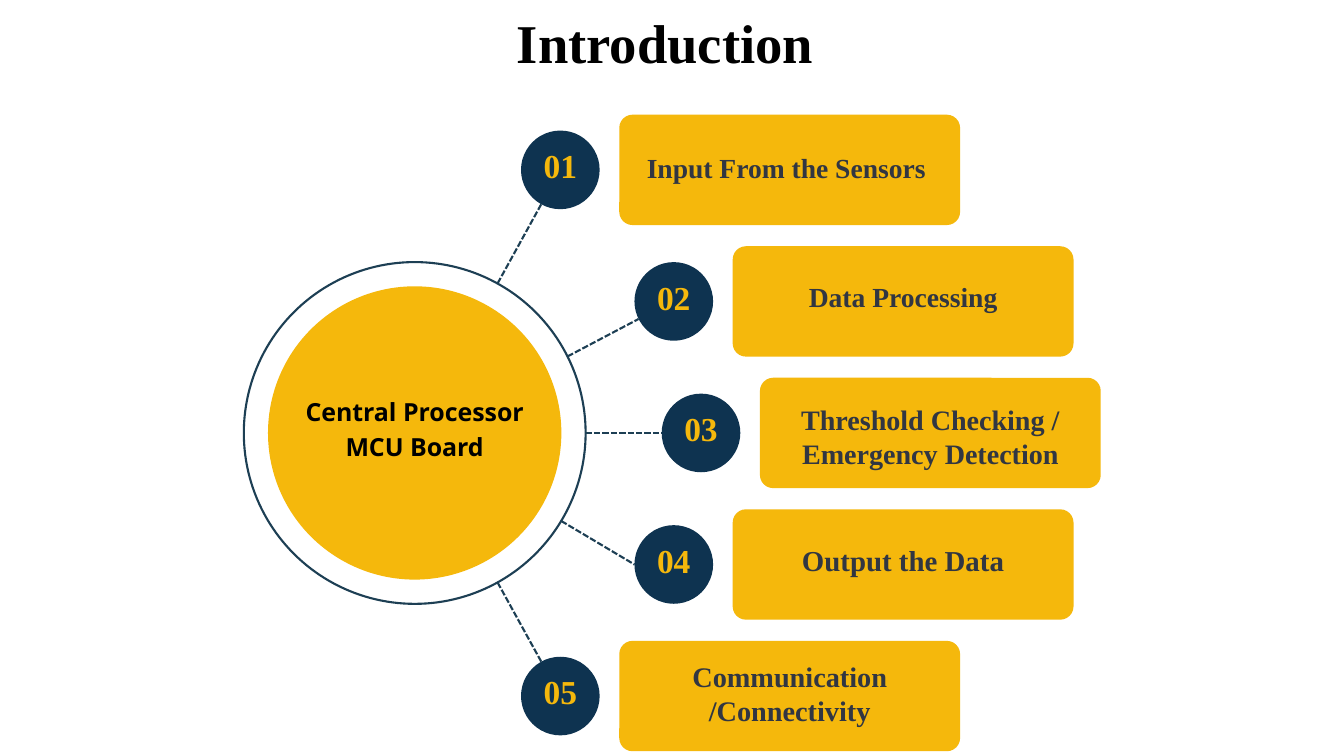
import math

import pptx
import pptx.dml.color
import pptx.enum.dml
import pptx.enum.shapes
import pptx.enum.text
import pptx.oxml
import pptx.util

RGBColor = pptx.dml.color.RGBColor
MSO_SHAPE = pptx.enum.shapes.MSO_SHAPE
YELLOW = RGBColor(0xF5, 0xB8, 0x0C)
NAVY = RGBColor(0x0E, 0x33, 0x50)
LINE_BLUE = RGBColor(0x1D, 0x3F, 0x54)
SLATE = RGBColor(0x31, 0x36, 0x42)
BLACK = RGBColor(0, 0, 0)
SERIF = "Times New Roman"

SLIDE_WIDTH = pptx.util.Inches(13.33)
SLIDE_HEIGHT = pptx.util.Inches(7.5)

# All lengths below are shares of the slide's height, in percent
HUB_X, HUB_Y = 54.84, 57.27
RING_RADIUS, DISC_RADIUS, BADGE_RADIUS = 22.6, 19.4, 5.2
FIRST_ROW, ROW_PITCH = HUB_Y - 2 * 17.4, 17.4
CARD_WIDTH, CARD_HEIGHT, CARD_OFFSET = 45.07, 14.6, 7.8

# Badge centre, link angle at hub and at badge, label, size, upward text shift
STEPS = [
    (74.1, -61, -61, "Input From the Sensors ", 19.7, 0.3),
    (89.1, -26.6, -26.6, "Data Processing", 19.7, 0.6),
    (92.7, 0, 0, "Threshold Checking / Emergency Detection", 20.1, -0.4),
    (89.1, 31, 0, "Output the Data", 20.6, 0.6),
    (74.1, 61, 61, "Communication\n/Connectivity", 20.2, 0.4),
]


def share(percent):
    return round(SLIDE_HEIGHT * percent / 100)


def write_text(shape, text, size, font, color, spacing, raised=0, wrap=True):
    text_frame = shape.text_frame
    text_frame.text = text
    text_frame.word_wrap = wrap
    text_frame.vertical_anchor = pptx.enum.text.MSO_ANCHOR.MIDDLE
    text_frame.margin_left = text_frame.margin_right = 0
    text_frame.margin_top = share(max(0, -2 * raised))
    text_frame.margin_bottom = share(max(0, 2 * raised))
    for paragraph in text_frame.paragraphs:
        paragraph.alignment = pptx.enum.text.PP_ALIGN.CENTER
        paragraph.line_spacing = spacing
        for run in paragraph.runs:
            run.font.name = font
            run.font.size = pptx.util.Pt(size)
            run.font.bold = True
            run.font.color.rgb = color


def add_block(slide, kind, center_x, center_y, width, height, fill=None):
    shape = slide.shapes.add_shape(
        kind, share(center_x - width / 2), share(center_y - height / 2),
        share(width), share(height))
    shape.shadow.inherit = False
    if fill is None:
        shape.fill.background()
        shape.line.color.rgb = LINE_BLUE
        shape.line.width = pptx.util.Pt(1.5)
    else:
        shape.fill.solid()
        shape.fill.fore_color.rgb = fill
        shape.line.fill.background()
    return shape


def add_circle(slide, center_x, center_y, radius, fill=None):
    return add_block(slide, MSO_SHAPE.OVAL, center_x, center_y,
                     2 * radius, 2 * radius, fill)


def point_on_circle(center_x, center_y, radius, degrees):
    angle = math.radians(degrees)
    return (share(center_x + radius * math.cos(angle)),
            share(center_y + radius * math.sin(angle)))


def add_link(slide, begin, end):
    link = slide.shapes.add_connector(
        pptx.enum.shapes.MSO_CONNECTOR.STRAIGHT, *begin, *end)
    link.line.color.rgb = LINE_BLUE
    link.line.width = pptx.util.Pt(1.5)
    link.line.dash_style = pptx.enum.dml.MSO_LINE.SQUARE_DOT
    properties = link._element.spPr
    properties.append(pptx.oxml.parse_xml(
        '<a:effectLst xmlns:a='
        '"http://schemas.openxmlformats.org/drawingml/2006/main"/>'))


def add_title(slide, text):
    title = slide.shapes.add_textbox(
        share(12.2), share(1.4), share(153.3), share(9.3))
    write_text(title, text, 39, SERIF, BLACK, 0.9)


def add_hub(slide):
    add_circle(slide, HUB_X, HUB_Y, RING_RADIUS)
    disc = add_circle(slide, HUB_X, HUB_Y, DISC_RADIUS, YELLOW)
    write_text(disc, "Central Processor\nMCU Board", 17.8, "Open Sans", BLACK,
               pptx.util.Pt(24.9), raised=0.8, wrap=False)


def add_step(slide, index, step):
    badge_x, hub_angle, badge_angle, label, size, raised = step
    row_y = FIRST_ROW + index * ROW_PITCH

    # Link from the ring to the badge
    add_link(slide, point_on_circle(HUB_X, HUB_Y, RING_RADIUS, hub_angle),
             point_on_circle(badge_x, row_y, BADGE_RADIUS, badge_angle + 180))

    # Numbered badge
    badge = add_circle(slide, badge_x, row_y, BADGE_RADIUS, NAVY)
    write_text(badge, f"{index + 1:02d}", 23.9, SERIF, YELLOW,
               pptx.util.Pt(28.6), raised=0.6)

    # Label card
    card = add_block(slide, MSO_SHAPE.ROUNDED_RECTANGLE,
                     badge_x + CARD_OFFSET + CARD_WIDTH / 2, row_y,
                     CARD_WIDTH, CARD_HEIGHT, YELLOW)
    card.adjustments[0] = 0.12
    write_text(card, label, size, SERIF, SLATE,
               pptx.util.Pt(round(size * 1.2, 1)), raised)


def main():
    presentation = pptx.Presentation()
    presentation.slide_width = SLIDE_WIDTH
    presentation.slide_height = SLIDE_HEIGHT
    slide = presentation.slides.add_slide(presentation.slide_layouts[6])

    add_title(slide, "Introduction ")
    add_hub(slide)
    for index, step in enumerate(STEPS):
        add_step(slide, index, step)

    presentation.save("out.pptx")


if __name__ == "__main__":
    main()
